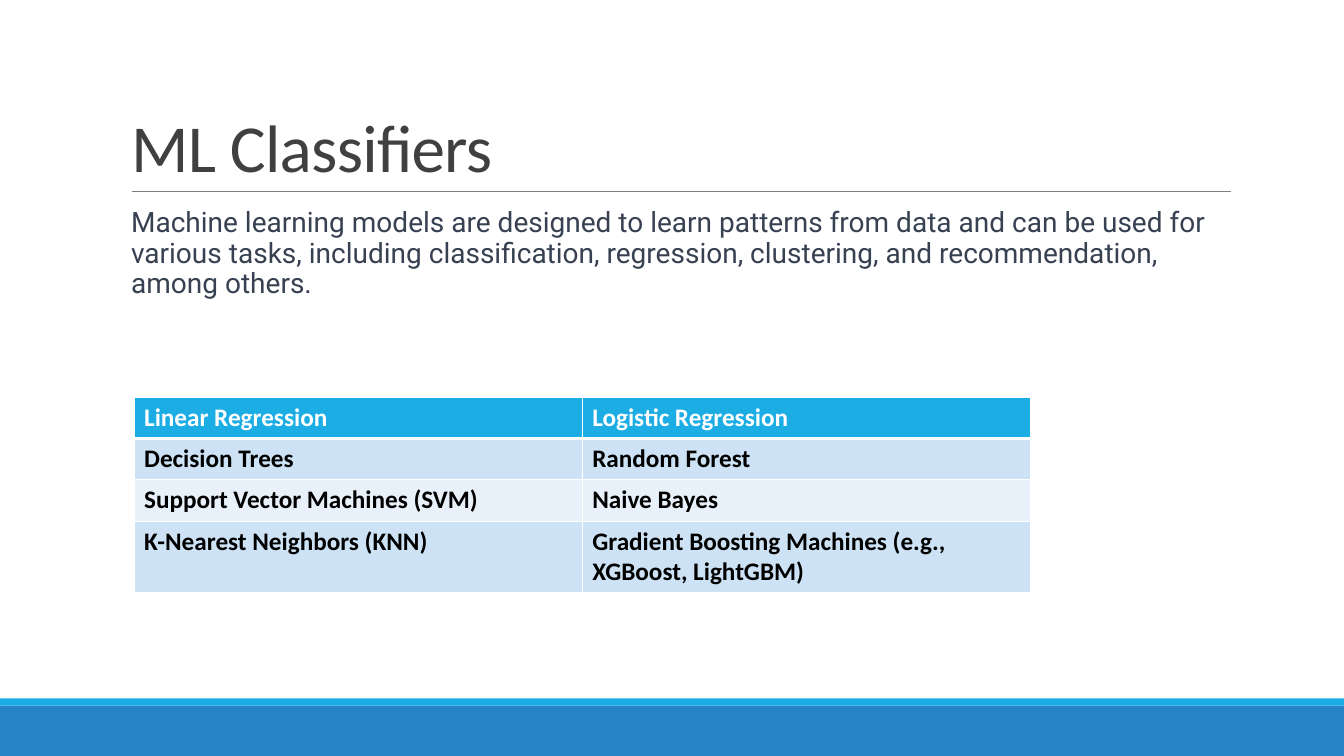
from lxml import etree
from pptx import Presentation
from pptx.dml.color import RGBColor
from pptx.enum.shapes import MSO_CONNECTOR, MSO_SHAPE
from pptx.enum.text import MSO_ANCHOR, MSO_AUTO_SIZE, PP_ALIGN
from pptx.oxml.ns import qn
from pptx.util import Inches, Pt

WHITE = RGBColor(0xFF, 0xFF, 0xFF)
BLACK = RGBColor(0, 0, 0)
BLUE = RGBColor(0x26, 0x83, 0xC6)
CYAN = RGBColor(0x1C, 0xAD, 0xE4)
GRAY = RGBColor(0x80, 0x80, 0x80)
TITLE = RGBColor(0x40, 0x40, 0x40)
BODY = RGBColor(0x37, 0x41, 0x51)
BANDS = (RGBColor(0xCD, 0xE3, 0xF5), RGBColor(0xE8, 0xF1, 0xFA))


class Deck:
    heading_font = "Calibri"
    body_font = "Roboto"

    def __init__(self, prs):
        self.s = prs.slides.add_slide(prs.slide_layouts[1])

    def run(self, p, text, size, font, color, bold=False):
        r = p.add_run()
        r.text = text
        r.font.size = Pt(size)
        r.font.name = font
        r.font.color.rgb = color
        r.font.bold = bold
        return r

    def place(self, sp, left, top, width, height, anchor, spacing):
        sp.left, sp.top = Inches(left), Inches(top)
        sp.width, sp.height = Inches(width), Inches(height)
        tf = sp.text_frame
        tf.auto_size = MSO_AUTO_SIZE.NONE
        tf.word_wrap = True
        tf.vertical_anchor = anchor
        p = tf.paragraphs[0]
        p.alignment = PP_ALIGN.LEFT
        p.line_spacing = spacing
        return tf, p

    def title(self, text, *box):
        tf, p = self.place(self.s.shapes.title, *box, MSO_ANCHOR.BOTTOM, 0.85)
        r = self.run(p, text, 48, self.heading_font, TITLE)
        r.font._element.set("spc", "-50")

    def body(self, text, *box):
        tf, p = self.place(self.s.placeholders[1], *box, MSO_ANCHOR.TOP, 0.9)
        tf.margin_left = tf.margin_right = 0
        p.space_before, p.space_after = Pt(12), Pt(2)
        pPr = p._p.get_or_add_pPr()
        pPr.set("marL", str(Inches(0.1)))
        pPr.set("indent", "0")
        etree.SubElement(pPr, qn("a:buNone"))
        self.run(p, text, 20, self.body_font, BODY)

    def bar(self, color, left, top, width, height):
        sp = self.s.shapes.add_shape(MSO_SHAPE.RECTANGLE, Inches(left), Inches(top),
                                     Inches(width), Inches(height))
        sp.shadow.inherit = False
        sp.fill.solid()
        sp.fill.fore_color.rgb = color
        sp.line.fill.background()

    def rule(self, left, right, y):
        ln = self.s.shapes.add_connector(MSO_CONNECTOR.STRAIGHT, Inches(left), Inches(y),
                                         Inches(right), Inches(y))
        ln.line.color.rgb = GRAY
        ln.line.width = Pt(0.5)
        etree.SubElement(ln._element.spPr, qn("a:effectLst"))

    def border(self, cell, side, width):
        ln = etree.SubElement(cell._tc.get_or_add_tcPr(), qn("a:ln" + side), w=str(Pt(width)))
        fill = etree.SubElement(ln, qn("a:solidFill"))
        etree.SubElement(fill, qn("a:srgbClr"), val=str(WHITE))

    def table(self, rows, left, top, width, row_height):
        tbl = self.s.shapes.add_table(len(rows), len(rows[0]), Inches(left), Inches(top),
                                      Inches(width), Inches(row_height * len(rows))).table
        for i, row in enumerate(rows):
            tbl.rows[i].height = Inches(row_height)
            for j, text in enumerate(row):
                cell = tbl.cell(i, j)
                for side in "LRTB":
                    header_edge = (i, side) in ((0, "B"), (1, "T"))
                    self.border(cell, side, 3 if header_edge else 1)
                cell.fill.solid()
                cell.fill.fore_color.rgb = BANDS[(i - 1) % 2] if i else CYAN
                self.run(cell.text_frame.paragraphs[0], text, 18, self.heading_font,
                         BLACK if i else WHITE, True)


prs = Presentation()
prs.slide_width, prs.slide_height = Inches(13.33), Inches(7.5)
deck = Deck(prs)
deck.bar(BLUE, 0, 7, 13.33, 0.5)
deck.bar(CYAN, 0, 6.93, 13.33, 0.07)
deck.rule(1.31, 12.21, 1.9)
deck.title("ML Classifiers", 1.2, 0.31, 11, 1.59)
deck.body("Machine learning models are designed to learn patterns from data and can be used "
          "for various tasks, including classification, regression, clustering, and "
          "recommendation, among others.", 1.2, 2.02, 11, 4.4)
deck.table([
    ("Linear Regression", "Logistic Regression"),
    ("Decision Trees", "Random Forest"),
    ("Support Vector Machines (SVM)", "Naive Bayes"),
    ("K-Nearest Neighbors (KNN)", "Gradient Boosting Machines (e.g., XGBoost, LightGBM)"),
], 1.33, 3.94, 8.89, 0.41)
prs.save("out.pptx")
